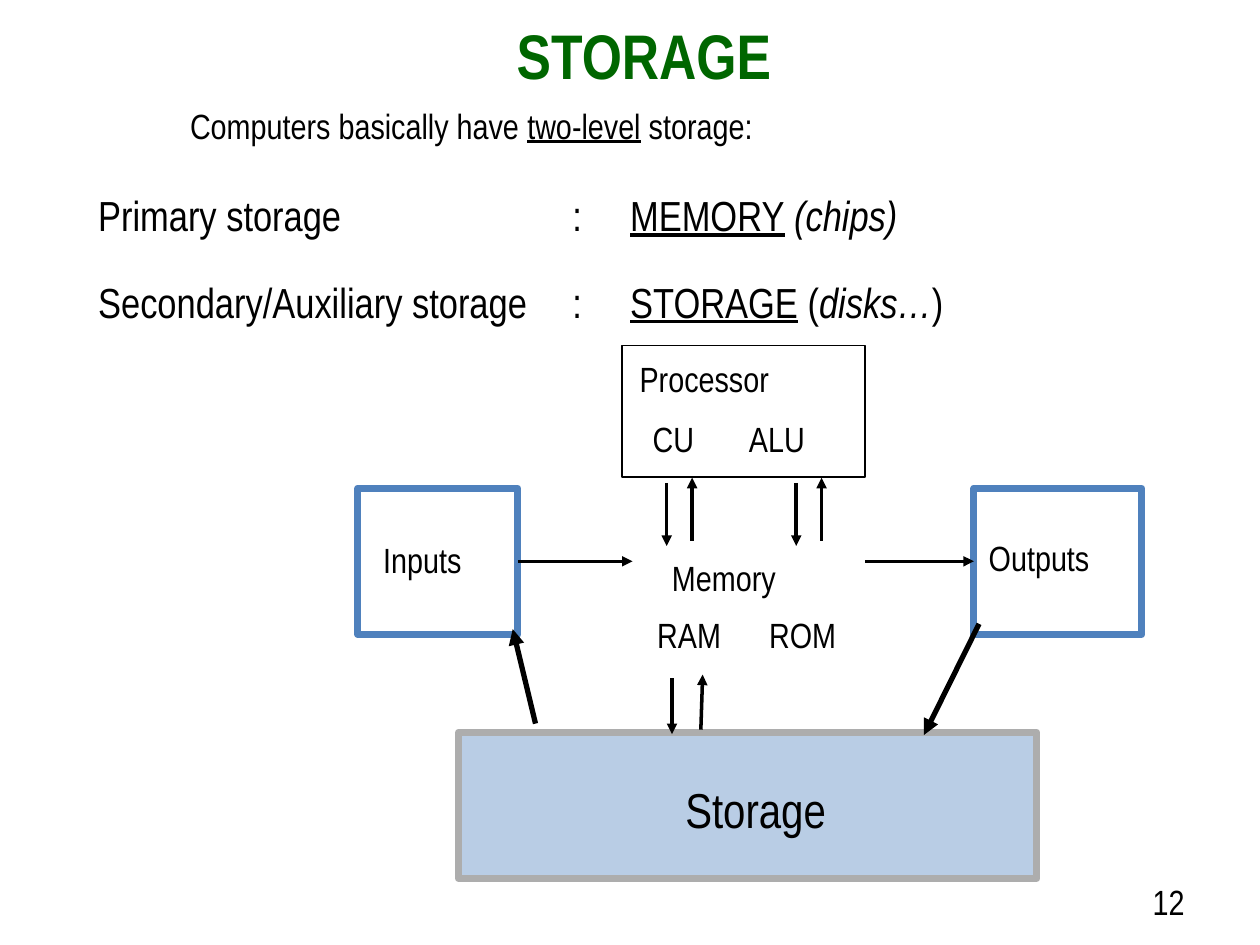
from dataclasses import dataclass

from lxml import etree
from pptx import Presentation
from pptx.dml.color import RGBColor
from pptx.enum.shapes import MSO_CONNECTOR as CONN, MSO_SHAPE as SHAPE
from pptx.enum.text import MSO_ANCHOR as ANCHOR, PP_ALIGN as ALIGN
from pptx.oxml.ns import qn
from pptx.util import Pt


@dataclass(frozen=True)
class Theme:
    font: str = "Arial Narrow"
    ink: RGBColor = RGBColor(0, 0, 0)
    title: RGBColor = RGBColor(0x00, 0x66, 0x00)
    device: RGBColor = RGBColor(0x4F, 0x81, 0xBD)
    store_fill: RGBColor = RGBColor(0xB9, 0xCD, 0xE5)
    store_line: RGBColor = RGBColor(0xAD, 0xAD, 0xAD)
    title_pt: int = 36
    store_pt: int = 28
    list_pt: int = 24
    label_pt: int = 20


T = Theme()
TOP, LEFT, BOTTOM, RIGHT = range(4)


def style(font, size, color=T.ink, bold=False):
    font.name, font.size, font.bold = T.font, Pt(size), bold
    font.color.rgb = color


def add_tabs(p, stops):
    tabs = etree.SubElement(p._p.get_or_add_pPr(), qn("a:tabLst"))
    for stop in stops:
        etree.SubElement(tabs, qn("a:tab"), pos=str(Pt(stop)), algn="l")


def add_text(slide, box, paragraphs, size=T.label_pt, align=ALIGN.LEFT,
             inset=(6.5, 3), tabs=(), gap=0):
    """Each paragraph is a list of (text, mark); mark is "", "u" or "i"."""
    tf = slide.shapes.add_textbox(*map(Pt, box)).text_frame
    tf.word_wrap = True
    tf.margin_left = tf.margin_right = Pt(inset[0])
    tf.margin_top = tf.margin_bottom = Pt(inset[1])
    for i, runs in enumerate(paragraphs):
        p = tf.add_paragraph() if i else tf.paragraphs[0]
        p.alignment = align
        if i:
            p.space_before = Pt(gap)
        if tabs:
            add_tabs(p, tabs)
        for text, mark in runs:
            r = p.add_run()
            r.text = text
            style(r.font, size)
            r.font.underline = mark == "u"
            r.font.italic = mark == "i"


def add_label(slide, box, dx, dy, text, tabs=()):
    """Label offset from a box corner, running to the box's right side."""
    x, y, w, _ = box
    add_text(slide, (x + dx, y + dy, w - dx, 30), [[(text, "")]], tabs=tabs)


def add_box(slide, box, line, width, fill=None):
    sp = slide.shapes.add_shape(SHAPE.RECTANGLE, *map(Pt, box))
    sp.shadow.inherit = False
    if fill is None:
        sp.fill.background()
    else:
        sp.fill.solid()
        sp.fill.fore_color.rgb = fill
    sp.line.color.rgb, sp.line.width = line, Pt(width)
    return sp


def add_arrow(slide, start, end, width=2):
    c = slide.shapes.add_connector(CONN.STRAIGHT, *map(Pt, (*start, *end)))
    c.line.color.rgb, c.line.width = T.ink, Pt(width)
    etree.SubElement(c.line._get_or_add_ln(), qn("a:tailEnd"), type="triangle")
    etree.SubElement(c._element.spPr, qn("a:effectLst"))
    return c


def heading(slide, box):
    x, y, w, h = box
    title = slide.shapes.title
    title.left, title.top, title.width, title.height = map(Pt, (x, y, w, h))
    tf = title.text_frame
    tf.text = "STORAGE"
    tf.vertical_anchor = ANCHOR.TOP
    tf.paragraphs[0].alignment = ALIGN.CENTER
    style(tf.paragraphs[0].runs[0].font, T.title_pt, T.title, bold=True)


def storage_levels(slide, box):
    x, y, w, h = box
    add_text(slide, (x + 52.5, y, w - 52.5, 34),
             [[("Computers basically have ", ""), ("two-level", "u"),
               (" storage:", "")]], inset=(7.2, 3.6))
    add_text(slide, (x, y + 49, w, h - 49), [
        [("Primary storage\t:\t", ""), ("MEMORY", "u"), (" (chips)", "i")],
        [("Secondary/Auxiliary storage\t:\t", ""), ("STORAGE", "u"),
         (" (", ""), ("disks…", "i"), (")", "")],
    ], size=T.list_pt, inset=(7.2, 3.6), tabs=(271, 304), gap=20.5)


def computer_diagram(slide, box):
    x, y, w, h = box
    processor = (x + 151, y, 139, 75)
    memory = (x + 151, y + 114, 150, 72)
    inputs = (x, y + 81.5, 91.5, 83.5)
    outputs = (x + 352, y + 81.5, 96, 83.5)
    storage = (x + 57.5, y + h - 83.5, 330.5, 83.5)

    # Boxes
    add_box(slide, processor, T.ink, 1)
    add_box(slide, storage, T.store_line, 4, T.store_fill)
    inputs_sp = add_box(slide, inputs, T.device, 4)
    outputs_sp = add_box(slide, outputs, T.device, 4)

    # Labels
    add_label(slide, processor, 3.5, 4, "Processor")
    add_label(slide, processor, 11, 38, "CU\tALU", tabs=(55,))
    add_label(slide, memory, 22, 3.5, "Memory")
    add_label(slide, memory, 13.5, 36, "RAM\tROM", tabs=(64,))
    add_label(slide, inputs, 8, 25.5, "Inputs")
    add_label(slide, outputs, 2, 24.5, "Outputs")
    sx, sy, sw, _ = storage
    add_text(slide, (sx + 9, sy + 24, sw - 9, 40), [[("Storage", "")]],
             size=T.store_pt, align=ALIGN.CENTER)

    # Inputs to memory, memory to outputs
    mid = inputs[1] + inputs[3] / 2
    into = add_arrow(slide, (inputs[0] + inputs[2], mid), (x + 157, mid))
    into.begin_connect(inputs_sp, RIGHT)
    out = add_arrow(slide, (x + 290, mid), (outputs[0], mid))
    out.end_connect(outputs_sp, LEFT)

    # Processor and memory, one pair under each unit
    for px in (x + 176.5, x + 250.5):
        add_arrow(slide, (px, y + 78.5), (px, y + 114.5))
        add_arrow(slide, (px + 14.5, y + 111.5), (px + 14.5, y + 75.5))

    # Memory and storage
    add_arrow(slide, (x + 179.5, y + 190), (x + 179.5, y + 222))
    add_arrow(slide, (x + 196, y + 219.5), (x + 197, y + 188))

    # Storage to inputs, outputs to storage
    add_arrow(slide, (x + 101.5, y + 216), (x + 88.5, y + 162), 3)
    add_arrow(slide, (x + 355, y + 159), (x + 323.5, y + 222.5), 3)


def page_number(slide, box):
    add_text(slide, box, [[("12", "")]], align=ALIGN.RIGHT, inset=(7.2, 2.5))


def main():
    prs = Presentation()
    prs.slide_width, prs.slide_height = Pt(720), Pt(540)
    slide = prs.slides.add_slide(prs.slide_layouts[5])  # title only
    heading(slide, (108, 6, 520, 51))
    storage_levels(slide, (49, 56, 641, 136))
    computer_diagram(slide, (204.5, 197.5, 448, 304.5))
    page_number(slide, (516, 500.5, 168, 29))
    prs.save("out.pptx")


if __name__ == "__main__":
    main()
